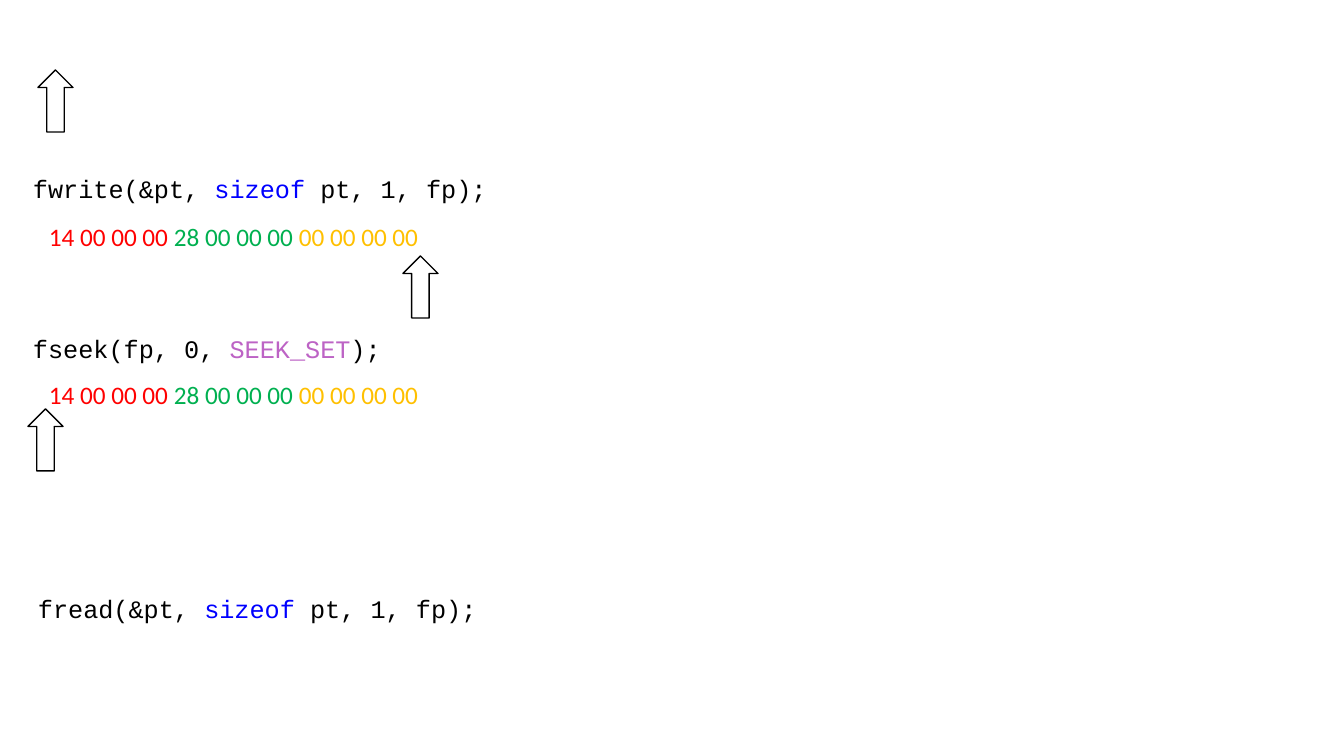
from pptx import Presentation
from pptx.dml.color import RGBColor
from pptx.enum.shapes import MSO_SHAPE
from pptx.util import Emu, Pt

SCALE = 914400 / 100.8
HUES = {
    "black": "000000", "white": "FFFFFF", "blue": "0000FF", "violet": "BD63C5",
    "red": "FF0000", "green": "00B050", "gold": "FFC000",
}


def px(num):
    """Turn pixels into EMU."""
    return Emu(round(num * SCALE))


def hue(name):
    """Look up a colour by name."""
    return RGBColor.from_string(HUES[name])


class Board:
    """Holds the style and the current slide."""

    code_font = "Courier New"
    byte_font = "Calibri"
    size = Pt(18)

    def __init__(self, slide):
        """Keep the slide to draw on."""
        self.slide = slide

    def text(self, left, top, wide, parts, font, wrap=True):
        """Add one line made of (words, colour) parts."""
        box = self.slide.shapes.add_textbox(px(left), px(top), px(wide), px(40))
        frame = box.text_frame
        frame.word_wrap = wrap
        line = frame.paragraphs[0]
        for words, tint in parts:
            run = line.add_run()
            run.text = words
            run.font.name = font
            run.font.size = self.size
            run.font.color.rgb = hue(tint)

    def code(self, left, top, wide, head, key, tail, tint="blue"):
        """Add a call with one coloured word."""
        parts = [(head, "black"), (key, tint), (tail, "black")]
        self.text(left, top, wide, parts, self.code_font, wrap=False)

    def dump(self, top):
        """Add the row of bytes in the file."""
        parts = [("14 00 00 00 ", "red"), ("28 00 00 00 ", "green"),
                 ("00 00 00 00 ", "gold")]
        self.text(39, top, 672, parts, self.byte_font)

    def arrow(self, left, top):
        """Add an arrow at the file position."""
        mark = self.slide.shapes.add_shape(
            MSO_SHAPE.UP_ARROW, px(left), px(top), px(35), px(62))
        mark.shadow.inherit = False
        mark.fill.solid()
        mark.fill.fore_color.rgb = hue("white")
        mark.line.color.rgb = hue("black")
        mark.line.width = Pt(1)


deck = Presentation()
deck.slide_width, deck.slide_height = px(1344), px(756)
board = Board(deck.slides.add_slide(deck.slide_layouts[6]))

board.arrow(38, 70)
board.code(23, 168, 672, "fwrite(&pt, ", "sizeof ", "pt, 1, fp);")
board.dump(216)
board.arrow(403, 256)
board.code(28, 588, 461, "fread(&pt, ", "sizeof ", "pt, 1, fp);")
board.code(23, 328, 370, "fseek(fp, 0, ", "SEEK_SET", ");", "violet")
board.dump(374)
board.arrow(28, 409)

deck.save("out.pptx")
